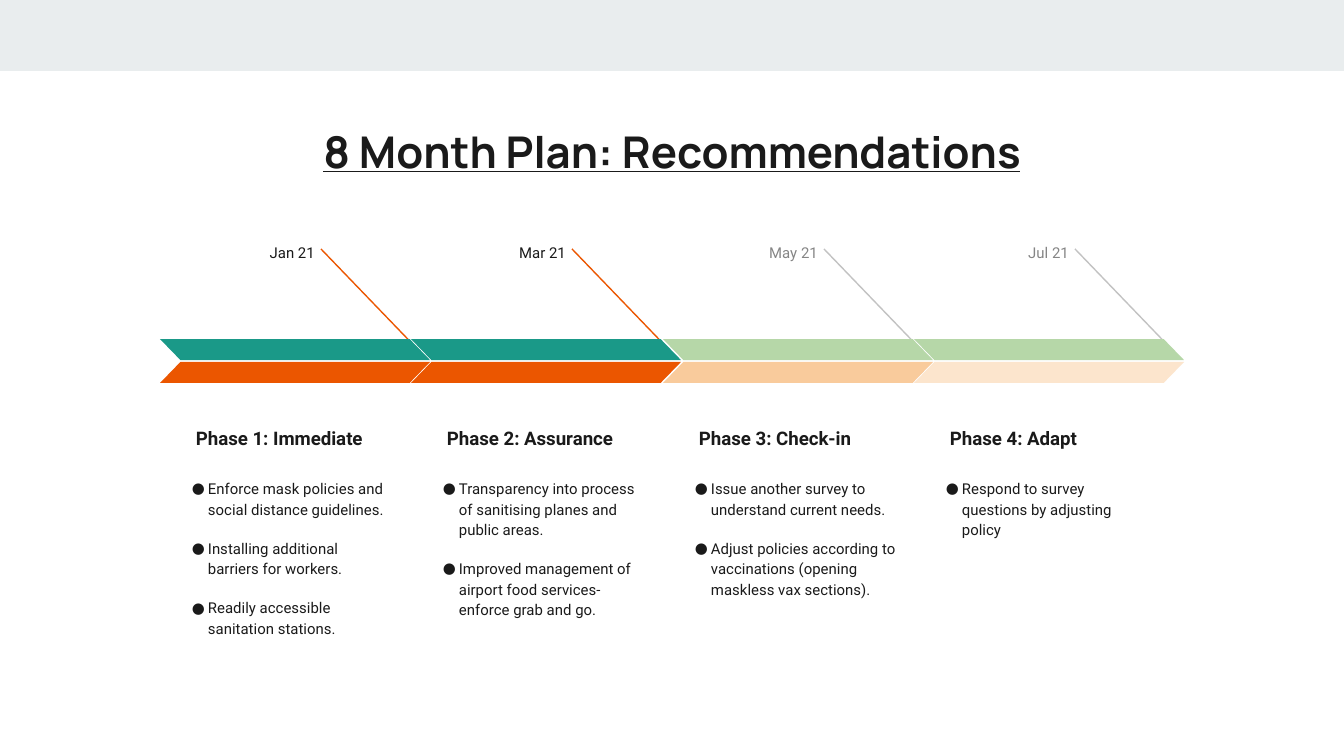
import dataclasses
import typing

import lxml.etree
import pptx
import pptx.dml.color
import pptx.enum.shapes
import pptx.enum.text
import pptx.oxml.ns
import pptx.util

SCALE = 914400 / 134.4
PAD = 13
STEPS = 3
SPAN = 754

ALIGN = pptx.enum.text.PP_ALIGN
ANCHOR = pptx.enum.text.MSO_ANCHOR
SHAPE = pptx.enum.shapes.MSO_SHAPE


@dataclasses.dataclass(frozen=True)
class Theme:
    ink: str = "1A1A1A"
    mute: str = "858585"
    band: str = "E9EDEE"
    teal: str = "1A9988"
    flame: str = "EB5600"
    grey: str = "C2C2C2"
    sage: str = "B6D7A8"
    peach: str = "F9CB9C"
    cream: str = "FCE5CD"
    face: str = "Roboto"
    title_face: str = "Manrope"
    title: float = 23.4
    head: float = 10
    body: float = 8
    rule: float = 0.75


THEME = Theme()


class Box(typing.NamedTuple):
    left: int
    top: int
    width: int
    height: int

    def shift(self, dx: int) -> "Box":
        return self._replace(left=self.left + dx)


class Style(typing.NamedTuple):
    size: float
    color: str = THEME.ink
    face: str = THEME.face
    bold: bool = False
    under: bool = False
    align: ALIGN = ALIGN.LEFT
    anchor: ANCHOR = ANCHOR.TOP
    space: float = 1.15
    bullet: bool = False


class Phase(typing.NamedTuple):
    date: str
    head: str
    points: list[str]
    text: str
    line: str
    upper: str
    lower: str


DATE = Box(237, 231, 91, 35)
HEAD = Box(183, 396, 222, 66)
LIST = Box(179, 464, 227, 109)
RULE = Box(321, 249, 105, 109)
UPPER = Box(160, 339, 270, 21)
LOWER = Box(160, 362, 270, 21)

PHASES = [
    Phase("Jan 21", "Phase 1: Immediate",
          ["Enforce mask policies and social distance guidelines.",
           "Installing additional barriers for workers.",
           "Readily accessible sanitation stations."],
          THEME.ink, THEME.flame, THEME.teal, THEME.flame),
    Phase("Mar 21", "Phase 2: Assurance",
          ["Transparency into process of sanitising planes and public areas.",
           "Improved management of airport food services- enforce grab and go."],
          THEME.ink, THEME.flame, THEME.teal, THEME.flame),
    Phase("May 21", "Phase 3: Check-in",
          ["Issue another survey to understand current needs.",
           "Adjust policies according to vaccinations (opening maskless vax sections)."],
          THEME.mute, THEME.grey, THEME.sage, THEME.peach),
    Phase("Jul 21", "Phase 4: Adapt",
          ["Respond to survey questions by adjusting policy"],
          THEME.mute, THEME.grey, THEME.sage, THEME.cream),
]


def px(count: int) -> pptx.util.Emu:
    return pptx.util.Emu(round(count * SCALE))


def rgb(code: str) -> pptx.dml.color.RGBColor:
    return pptx.dml.color.RGBColor.from_string(code)


def add_child(node, tag: str, **values: str):
    return lxml.etree.SubElement(node, pptx.oxml.ns.qn(tag), values)


def add_bullet(para, color: str) -> None:
    props = para._p.get_or_add_pPr()
    props.set("marL", str(px(16)))
    props.set("indent", str(px(-24)))
    add_child(add_child(props, "a:buClr"), "a:srgbClr", val=color)
    add_child(props, "a:buFont", typeface=THEME.face)
    add_child(props, "a:buChar", char="●")


def add_text(shapes, box: Box, lines: list[str], style: Style) -> None:
    frame = shapes.add_textbox(*map(px, box)).text_frame
    frame.word_wrap = True
    frame.vertical_anchor = style.anchor
    frame.margin_left = frame.margin_right = px(PAD)
    frame.margin_top = frame.margin_bottom = px(PAD)
    for i, line in enumerate(lines):
        para = frame.paragraphs[0] if i == 0 else frame.add_paragraph()
        para.text = line
        para.alignment = style.align
        para.line_spacing = style.space
        if i:
            para.space_before = pptx.util.Pt(10)
        if style.bullet:
            add_bullet(para, style.color)
        font = para.font
        font.name = style.face
        font.size = pptx.util.Pt(style.size)
        font.bold = style.bold
        font.underline = style.under
        font.color.rgb = rgb(style.color)


def add_block(shapes, kind: SHAPE, box: Box, color: str):
    shape = shapes.add_shape(kind, *map(px, box))
    shape.shadow.inherit = False
    shape.fill.solid()
    shape.fill.fore_color.rgb = rgb(color)
    shape.line.fill.background()
    return shape


def add_slant(shapes, box: Box, color: str, flip: bool) -> None:
    shape = add_block(shapes, SHAPE.PARALLELOGRAM, box, color)
    shape.adjustments[0] = 0.97
    if flip:
        shape.element.spPr.get_or_add_xfrm().set("flipH", "1")


def add_rule(shapes, box: Box, color: str) -> None:
    ends = (box.left, box.top, box.left + box.width, box.top + box.height)
    rule = shapes.add_connector(
        pptx.enum.shapes.MSO_CONNECTOR.STRAIGHT, *map(px, ends))
    rule.line.color.rgb = rgb(color)
    rule.line.width = pptx.util.Pt(THEME.rule)
    add_child(rule.element.spPr, "a:effectLst")


def add_phase(shapes, phase: Phase, dx: int) -> None:
    group = shapes.add_group_shape().shapes
    add_text(group, DATE.shift(dx), [phase.date],
             Style(THEME.body, phase.text, align=ALIGN.RIGHT))
    add_text(group, HEAD.shift(dx), [phase.head],
             Style(THEME.head, bold=True, anchor=ANCHOR.BOTTOM))
    add_text(group, LIST.shift(dx), phase.points,
             Style(THEME.body, bullet=True))
    add_rule(group, RULE.shift(dx), phase.line)
    add_slant(group, UPPER.shift(dx), phase.upper, True)
    add_slant(group, LOWER.shift(dx), phase.lower, False)


def main() -> None:
    deck = pptx.Presentation()
    deck.slide_width, deck.slide_height = px(1344), px(756)
    shapes = deck.slides.add_slide(deck.slide_layouts[6]).shapes
    add_block(shapes, SHAPE.RECTANGLE, Box(0, 0, 1344, 71), THEME.band)
    add_text(shapes, Box(306, 112, 732, 73), ["8 Month Plan: Recommendations"],
             Style(THEME.title, face=THEME.title_face, bold=True, under=True,
                   align=ALIGN.CENTER, space=1.0))
    for i, phase in enumerate(PHASES):
        add_phase(shapes, phase, round(SPAN * i / STEPS))
    deck.save("out.pptx")


if __name__ == "__main__":
    main()
